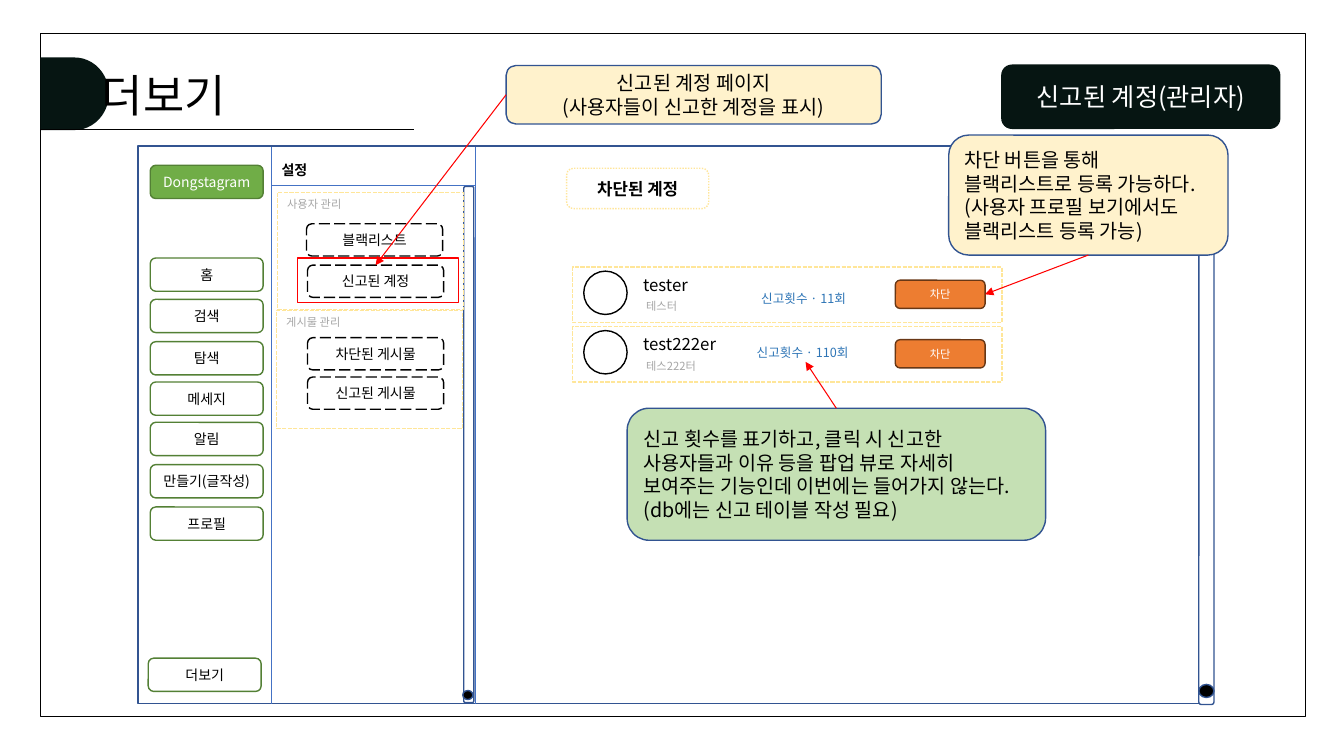
"""Build the slide describing the reported accounts screen for administrators."""
from lxml.etree import SubElement
from pptx import Presentation
from pptx.dml.color import RGBColor
from pptx.enum.dml import MSO_LINE as Dash
from pptx.enum.shapes import MSO_CONNECTOR, MSO_SHAPE as Kind
from pptx.enum.text import MSO_ANCHOR as Anchor, MSO_AUTO_SIZE, PP_ALIGN as Align
from pptx.oxml.ns import qn
from pptx.util import Emu, Pt

FONT = "Noto Sans CJK KR"
BLACK = RGBColor(0x00, 0x00, 0x00)
WHITE = RGBColor(0xFF, 0xFF, 0xFF)
INK = RGBColor(0x06, 0x15, 0x12)
NAVY = RGBColor(0x32, 0x54, 0x91)
BLUE = RGBColor(0x44, 0x72, 0xC4)
LINK = RGBColor(0x2E, 0x75, 0xB6)
GREEN = RGBColor(0x70, 0xAD, 0x47)
DARK_GREEN = RGBColor(0x53, 0x80, 0x35)
PALE_GREEN = RGBColor(0xC5, 0xE0, 0xB4)
CREAM = RGBColor(0xFF, 0xF2, 0xCC)
YELLOW = RGBColor(0xFF, 0xE6, 0x99)
ORANGE = RGBColor(0xED, 0x7D, 0x31)
BROWN = RGBColor(0x68, 0x37, 0x15)
GREY = RGBColor(0xA6, 0xA6, 0xA6)
RED = RGBColor(0xFF, 0x00, 0x00)

TITLE = "더보기"
BADGE = "신고된 계정(관리자)"
APP_NAME = "Dongstagram"
PANEL_TITLE = "설정"
LIST_TITLE = "차단된 계정"
BLOCK = "차단"
NAV = [
    ("홈", 149, 256), ("검색", 149, 297), ("탐색", 149, 339), ("메세지", 149, 379),
    ("알림", 149, 419), ("만들기(글작성)", 149, 461), ("프로필", 149, 503),
    ("더보기", 147, 653),
]
SETTINGS = [
    ("사용자 관리", (275, 191, 185, 116), [("블랙리스트", 304, 222), ("신고된 계정", 305, 263)]),
    ("게시물 관리", (274, 308, 185, 117), [("차단된 게시물", 305, 335), ("신고된 게시물", 305, 374)]),
]
ACCOUNTS = [
    ("tester", "테스터", "신고횟수 · 11회", (738, 287)),
    ("test222er", "테스222터", "신고횟수 · 110회", (737, 340)),
]
ROW_TOP, ROW_PITCH = 265, 59
PAGE_NOTE = ["신고된 계정 페이지", "(사용자들이 신고한 계정을 표시)"]
COUNT_NOTE = [
    "신고 횟수를 표기하고, 클릭 시 신고한 사용자들과 이유 등을 팝업 뷰로 자세히 "
    "보여주는 기능인데 이번에는 들어가지 않는다.",
    "(db에는 신고 테이블 작성 필요)",
]
BLOCK_NOTE = [
    "차단 버튼을 통해 블랙리스트로 등록 가능하다.",
    "(사용자 프로필 보기에서도 블랙리스트 등록 가능)",
]
PX = 9144


def px(*lengths):
    return [Emu(length * PX) for length in lengths]


def write(holder, text, size=10, color=BLACK, bold=False, align=Align.CENTER, anchor=Anchor.MIDDLE):
    frame = holder.text_frame
    frame.word_wrap = True
    frame.vertical_anchor = anchor
    for i, line in enumerate([text] if isinstance(text, str) else text):
        paragraph = frame.add_paragraph() if i else frame.paragraphs[0]
        paragraph.alignment = align
        run = paragraph.add_run()
        run.text = line
        run.font.name, run.font.size, run.font.bold = FONT, Pt(size), bold
        run.font.color.rgb = color
        SubElement(run.font._element, qn("a:ea"), typeface=FONT)
    return holder


def draw(parent, kind, box, fill=None, line=None, dash=None):
    shape = parent.add_shape(kind, *px(*box))
    shape.shadow.inherit = False
    if fill is None:
        shape.fill.background()
    else:
        shape.fill.solid()
        shape.fill.fore_color.rgb = fill
    if line is None:
        shape.line.fill.background()
    else:
        shape.line.color.rgb = line
        shape.line.width = Pt(1)
        if dash:
            shape.line.dash_style = dash
    return shape


def label(parent, box, text, **style):
    return write(parent.add_textbox(*px(*box)), text, **style)


def rule(parent, start, end, color, width=0.5):
    connector = parent.add_connector(MSO_CONNECTOR.STRAIGHT, *px(*start, *end))
    connector.line.color.rgb = color
    connector.line.width = Pt(width)
    SubElement(connector._element.spPr, qn("a:effectLst"))
    return connector


def arrow(parent, start, end, source, source_side, target=None, target_side=0):
    pointer = rule(parent, start, end, RED, 0.75)
    SubElement(pointer.line._get_or_add_ln(), qn("a:tailEnd"), type="triangle")
    pointer.begin_connect(source, source_side)
    if target is not None:
        pointer.end_connect(target, target_side)


def scrollbar(parent, bar, knob):
    draw(parent, Kind.ROUNDED_RECTANGLE, bar, WHITE, NAVY)
    draw(parent, Kind.OVAL, knob, BLACK, NAVY)


def account_row(parent, top, name, nickname, count, count_at):
    row = parent.add_group_shape().shapes
    draw(row, Kind.RECTANGLE, (568, top, 426, 55), line=YELLOW, dash=Dash.SQUARE_DOT)
    label(row, (628, top + 8, 118, 19), name, size=12, align=Align.LEFT)
    label(row, (631, top + 33, 129, 12), nickname, size=8, color=GREY, align=Align.LEFT)
    draw(row, Kind.OVAL, (579, top + 4, 43, 43), WHITE, BLACK)
    button = draw(row, Kind.ROUNDED_RECTANGLE, (888, top + 13, 89, 28), ORANGE, BROWN)
    write(button, BLOCK, size=8, color=WHITE)
    label(row, (*count_at, 118, 19), count, size=9, color=LINK)
    return button


def main():
    deck = Presentation()
    deck.slide_width, deck.slide_height = px(1333, 750)
    shapes = deck.slides.add_slide(deck.slide_layouts[6]).shapes
    rounded = Kind.ROUNDED_RECTANGLE

    draw(shapes, Kind.RECTANGLE, (40, 33, 1255, 678), line=BLACK)
    write(draw(shapes, rounded, (993, 64, 277, 64), INK), BADGE, size=18, color=WHITE)
    draw(shapes, Kind.FLOWCHART_DELAY, (40, 57, 68, 72), INK)
    title = label(shapes, (49, 62, 362, 64), TITLE, size=32, align=Align.LEFT, anchor=Anchor.TOP)
    title.text_frame.margin_left = px(52)[0]
    title.text_frame.auto_size = MSO_AUTO_SIZE.SHAPE_TO_FIT_TEXT
    rule(shapes, (40, 128), (411, 128), BLACK)

    draw(shapes, Kind.RECTANGLE, (137, 145, 1065, 553), line=NAVY)
    rule(shapes, (269, 146), (269, 698), BLUE)
    scrollbar(shapes.add_group_shape().shapes, (1189, 146, 15, 553), (1189, 679, 15, 13))
    write(draw(shapes, rounded, (149, 164, 112, 33), GREEN, DARK_GREEN), APP_NAME, color=WHITE)
    for text, left, top in NAV:
        write(draw(shapes, rounded, (left, top, 112, 33), line=DARK_GREEN), text)

    rule(shapes, (471, 146), (471, 698), BLUE)
    rule(shapes, (269, 184), (471, 184), BLUE)
    write(draw(shapes, rounded, (264, 152, 56, 33)), PANEL_TITLE, bold=True)
    scrollbar(shapes, (460, 185, 10, 512), (459, 685, 10, 9))
    menu = {}
    for heading, box, items in SETTINGS:
        section = draw(shapes, Kind.RECTANGLE, box, line=YELLOW, dash=Dash.SQUARE_DOT)
        write(section, heading, size=8, color=GREY, align=Align.LEFT, anchor=Anchor.TOP)
        for text, left, top in items:
            item = draw(shapes, rounded, (left, top, 135, 32), line=BLACK, dash=Dash.LONG_DASH)
            menu[text] = write(item, text)

    page_note = draw(shapes, rounded, (502, 65, 372, 58), CREAM, NAVY)
    write(page_note, PAGE_NOTE, size=14)
    draw(shapes, Kind.RECTANGLE, (295, 256, 160, 44), line=RED)
    arrow(shapes, (502, 94), (372, 263), page_note, 1, menu["신고된 계정"], 0)

    list_title = draw(shapes, rounded, (562, 167, 141, 40), line=YELLOW, dash=Dash.ROUND_DOT)
    write(list_title, LIST_TITLE, size=12, bold=True)
    block_buttons = [
        account_row(shapes, ROW_TOP + i * ROW_PITCH, *account)
        for i, account in enumerate(ACCOUNTS)
    ]

    count_note = draw(shapes, rounded, (622, 405, 415, 131), PALE_GREEN, NAVY)
    write(count_note, COUNT_NOTE, size=14, align=Align.LEFT)
    arrow(shapes, (829, 405), (799, 359), count_note, 0)
    block_note = draw(shapes, rounded, (941, 134, 277, 119), CREAM, NAVY)
    write(block_note, BLOCK_NOTE, size=14, align=Align.LEFT)
    arrow(shapes, (1080, 253), (977, 292), block_note, 2, block_buttons[0], 3)

    deck.save("out.pptx")


if __name__ == "__main__":
    main()
